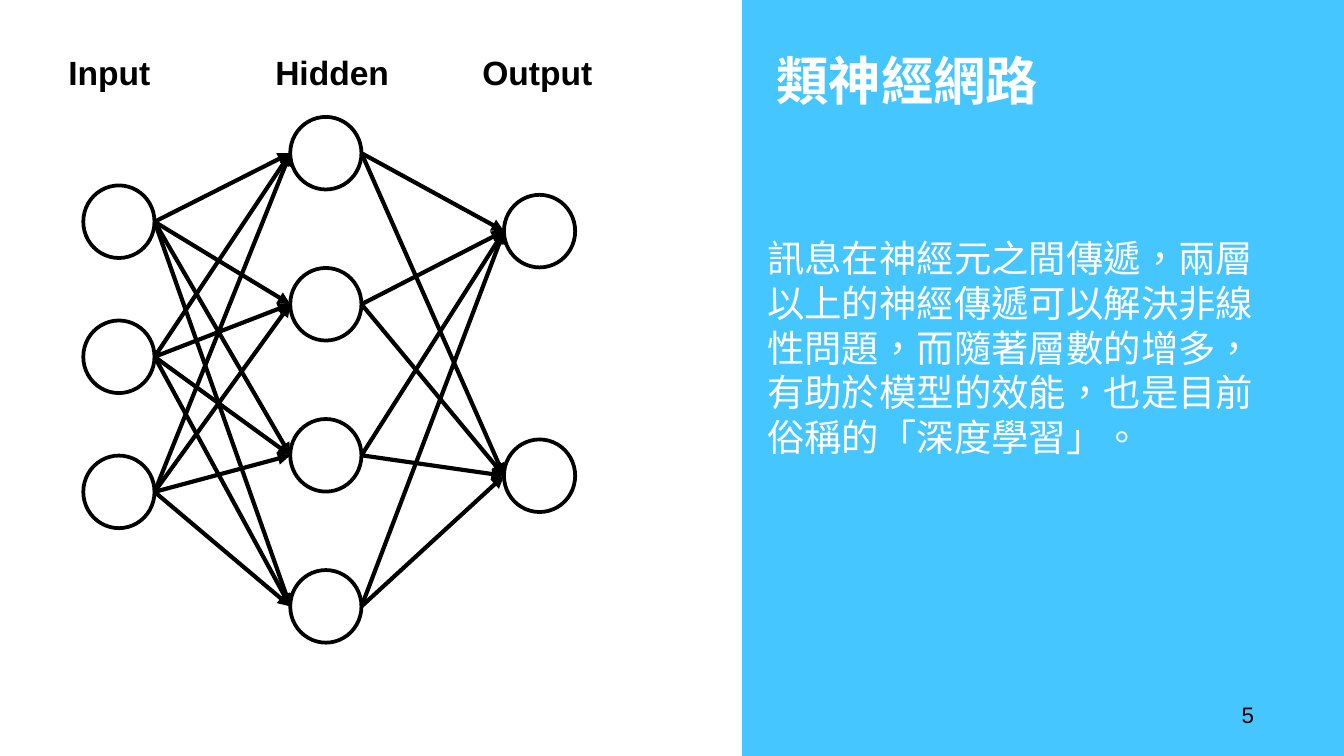
from dataclasses import dataclass
from itertools import pairwise, product

from lxml.etree import SubElement
from pptx import Presentation
from pptx.dml.color import RGBColor
from pptx.enum.lang import MSO_LANGUAGE_ID as Language
from pptx.enum.shapes import MSO_CONNECTOR as Connector, MSO_SHAPE as Preset
from pptx.enum.text import MSO_ANCHOR as Anchor, MSO_AUTO_SIZE as AutoSize, PP_ALIGN as Align
from pptx.oxml.ns import qn
from pptx.shapes.autoshape import Shape
from pptx.slide import Slide
from pptx.util import Inches, Length, Pt

COLORS = {"panel": "00B2FF", "paper": "FFFFFF", "ink": "000000"}
COLUMNS, ROWS = 100, 56.25  # grid of 0.1 inch cells
NODE_COLUMNS, NODE_ROWS = 5.3, 5.4
TITLE_LAYOUT = 5


@dataclass(frozen=True)
class Box:
    left: float
    top: float
    width: float
    height: float

    def lengths(self) -> tuple[Length, ...]:
        return tuple(map(cells, (self.left, self.top, self.width, self.height)))


@dataclass(frozen=True)
class TextStyle:
    size: float
    color: str
    font: str = "Arial"
    bold: bool = False
    align: Align = Align.LEFT
    anchor: Anchor = Anchor.TOP
    wrap: bool = True
    language: Language = Language.TRADITIONAL_CHINESE


@dataclass(frozen=True)
class Layer:
    label: str
    label_box: Box
    left: float
    top: float
    step: float
    count: int

    def nodes(self) -> list[Box]:
        return [Box(self.left, self.top + self.step * index, NODE_COLUMNS, NODE_ROWS)
                for index in range(self.count)]


LAYERS = [
    Layer("Input", Box(4.1, 3.4, 8.2, 4), 6.2, 13.8, 10.05, 3),
    Layer("Hidden", Box(19.5, 3.4, 10.6, 4), 21.6, 8.7, 11.24, 4),
    Layer("Output", Box(34.9, 3.4, 10.3, 4), 37.5, 14.5, 18.2, 2),
]
TITLE = TextStyle(28, "paper", "Noto Sans CJK SC", bold=True)
BODY = TextStyle(20, "paper", "Lato")
LABEL = TextStyle(18, "ink", bold=True, wrap=False)
PAGE_NUMBER = TextStyle(12, "ink", align=Align.RIGHT, anchor=Anchor.MIDDLE)
BODY_TEXT = ("訊息在神經元之間傳遞，兩層以上的神經傳遞可以解決非線性問題，"
             "而隨著層數的增多，有助於模型的效能，也是目前俗稱的「深度學習」。")


def cells(count: float) -> Length:
    return Inches(count / 10)


def color(name: str) -> RGBColor:
    return RGBColor.from_string(COLORS[name])


def write(shape: Shape, text: str, style: TextStyle) -> None:
    frame = shape.text_frame
    frame.auto_size = AutoSize.NONE
    frame.word_wrap = style.wrap
    frame.vertical_anchor = style.anchor
    frame.margin_left = frame.margin_right = Inches(0.1)
    frame.margin_top = frame.margin_bottom = Inches(0.1 if style.wrap else 0.05)
    paragraph = frame.paragraphs[0]
    paragraph.alignment = style.align
    run = paragraph.add_run()
    run.text = text
    run.font.size = Pt(style.size)
    run.font.bold = style.bold
    run.font.name = style.font
    run.font.language_id = style.language
    run.font.color.rgb = color(style.color)
    for latin in list(shape.element.iter(qn("a:latin"))):
        east_asian = SubElement(latin.getparent(), qn("a:ea"), typeface=style.font)
        latin.addnext(east_asian)


def add_text(slide: Slide, box: Box, text: str, style: TextStyle) -> None:
    write(slide.shapes.add_textbox(*box.lengths()), text, style)


def add_filled(slide: Slide, preset: Preset, box: Box, fill: str, line: str | None = None) -> Shape:
    shape = slide.shapes.add_shape(preset, *box.lengths())
    shape.shadow.inherit = False
    shape.fill.solid()
    shape.fill.fore_color.rgb = color(fill)
    if line:
        shape.line.color.rgb = color(line)
        shape.line.width = Pt(2)
    else:
        shape.line.fill.background()
    return shape


def add_panel(slide: Slide) -> None:
    panel = add_filled(slide, Preset.RECTANGLE, Box(COLUMNS / 2, 0, COLUMNS / 2, ROWS), "panel")
    tint = next(panel.element.iter(qn("a:srgbClr")))
    SubElement(tint, qn("a:alpha"), val="73000")


def add_arrow(slide: Slide, source: Box, target: Box) -> None:
    """Point from the right edge of one node to the left edge of another."""
    ends = (source.left + source.width, source.top + source.height / 2,
            target.left, target.top + target.height / 2)
    arrow = slide.shapes.add_connector(Connector.STRAIGHT, *map(cells, ends))
    arrow.line.color.rgb = color("ink")
    arrow.line.width = Pt(2.25)
    properties = arrow.element.find(qn("p:spPr"))
    SubElement(properties.find(qn("a:ln")), qn("a:tailEnd"), type="triangle")
    SubElement(properties, qn("a:effectLst"))


def add_title(slide: Slide, box: Box, text: str) -> None:
    title = slide.shapes.title
    title.left, title.top, title.width, title.height = box.lengths()
    write(title, text, TITLE)
    title.element.getparent().append(title.element)  # in front of the panel


def add_network(slide: Slide) -> None:
    for layer in LAYERS:
        for node in layer.nodes():
            add_filled(slide, Preset.OVAL, node, "paper", "ink")
    for before, after in pairwise(LAYERS):
        for source, target in product(before.nodes(), after.nodes()):
            add_arrow(slide, source, target)
    for layer in LAYERS:
        add_text(slide, layer.label_box, layer.label, LABEL)


def main() -> None:
    presentation = Presentation()
    presentation.slide_width, presentation.slide_height = cells(COLUMNS), cells(ROWS)
    slide = presentation.slides.add_slide(presentation.slide_layouts[TITLE_LAYOUT])
    add_panel(slide)
    add_title(slide, Box(56.8, 2.6, 38.2, 5.5), "類神經網路")
    add_text(slide, Box(56.1, 16.5, 38.2, 34.2), BODY_TEXT, BODY)
    add_filled(slide, Preset.RECTANGLE, Box(0, 0, 55.1, ROWS), "paper", "paper")
    add_network(slide)
    add_text(slide, Box(71.8, 51.7, 22.5, 3), "5", PAGE_NUMBER)
    presentation.save("out.pptx")


if __name__ == "__main__":
    main()
